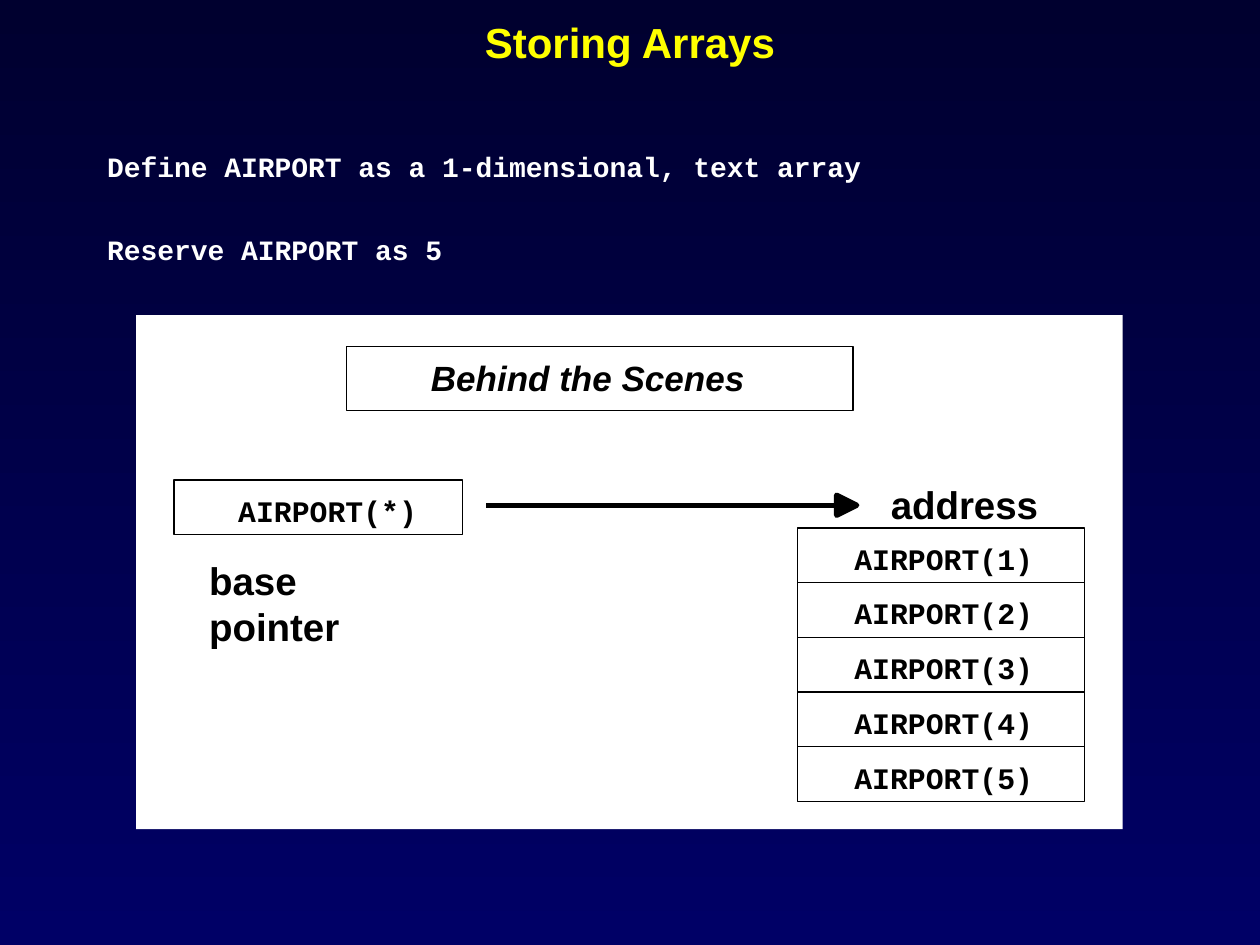
from dataclasses import dataclass
from lxml.etree import SubElement
from pptx import Presentation
from pptx.dml.color import RGBColor as Rgb
from pptx.enum.shapes import MSO_CONNECTOR as Link, MSO_SHAPE as Kind
from pptx.enum.text import MSO_ANCHOR as Anchor, PP_ALIGN as Align
from pptx.oxml.ns import qn
from pptx.util import Inches, Pt

COLS, ROWS = 100, 75
WIDE, HIGH = Inches(10), Inches(7.5)
BLACK, WHITE, GOLD = "000000", "FFFFFF", "FFFF00"
SANS, MONO = "Arial", "Courier New"


@dataclass(frozen=True)
class Area:
    """A block of the grid, in columns and rows."""
    col: float
    row: float
    wide: float
    high: float

    def box(self) -> tuple[int, int, int, int]:
        """Return left, top, width and height as lengths."""
        return (across(self.col), down(self.row),
                across(self.wide), down(self.high))


def across(cols: float) -> int:
    """Turn columns into a length."""
    return round(WIDE * cols / COLS)


def down(rows: float) -> int:
    """Turn rows into a length."""
    return round(HIGH * rows / ROWS)


def color(code: str) -> Rgb:
    """Turn a hex string into a colour."""
    return Rgb.from_string(code)


def shade(slide, top: str, base: str) -> None:
    """Fill the background from top to base."""
    fill = slide.background.fill
    fill.gradient()
    fill.gradient_angle = 270
    for stop, spot, code in zip(fill.gradient_stops, (0, 1), (top, base)):
        stop.position = spot
        stop.color.rgb = color(code)


def write(slide, area: Area, *lines: str, font: str = SANS, size: float = 22,
          code: str = BLACK, italic: bool = False, align=Align.LEFT,
          anchor=Anchor.TOP, wrap: bool = False, gap: float = 0) -> None:
    """Write bold lines in an area, with a gap between them."""
    frame = slide.shapes.add_textbox(*area.box()).text_frame
    frame.margin_left = frame.margin_right = 0
    frame.margin_top = frame.margin_bottom = 0
    frame.word_wrap = wrap
    frame.vertical_anchor = anchor
    for i, line in enumerate(lines):
        para = frame.add_paragraph() if i else frame.paragraphs[0]
        para.alignment = align
        para.space_before = Pt(gap if i else 0)
        run = para.add_run()
        run.text = line
        face = run.font
        face.name, face.size = font, Pt(size)
        face.bold, face.italic = True, italic
        face.color.rgb = color(code)


def panel(slide, area: Area) -> None:
    """Draw the white panel."""
    shape = slide.shapes.add_shape(Kind.RECTANGLE, *area.box())
    shape.shadow.inherit = False
    shape.fill.solid()
    shape.fill.fore_color.rgb = color(WHITE)
    shape.line.fill.background()


def frame(slide, area: Area) -> None:
    """Draw a hollow box with a hairline edge."""
    shape = slide.shapes.add_shape(Kind.RECTANGLE, *area.box())
    shape.shadow.inherit = False
    shape.fill.background()
    shape.line.color.rgb = color(BLACK)
    shape.line.width = Pt(0)


def cell(slide, area: Area, inset: float, label: str) -> None:
    """Draw one memory cell with its label."""
    frame(slide, area)
    spot = Area(area.col + inset, area.row + 1, 14.2, 2.8)
    write(slide, spot, label, font=MONO, size=17)


def arrow(slide, start: float, end: float, row: float) -> None:
    """Draw a level arrow with a solid head."""
    line = slide.shapes.add_connector(
        Link.STRAIGHT, across(start), down(row), across(end), down(row))
    SubElement(line._element.spPr, qn("a:effectLst"))
    back, half = end - 1.6, 0.8
    pen = slide.shapes.build_freeform(across(back), down(row - half))
    pen.add_line_segments([(across(end), down(row)),
                           (across(back), down(row + half))], close=True)
    head = pen.convert_to_shape()
    head.shadow.inherit = False
    head.fill.solid()
    head.fill.fore_color.rgb = color(BLACK)
    for part in (line, head):
        part.line.color.rgb = color(BLACK)
        part.line.width = Pt(3)


def main() -> None:
    """Build the slide and save it."""
    deck = Presentation()
    deck.slide_width, deck.slide_height = WIDE, HIGH
    slide = deck.slides.add_slide(deck.slide_layouts[6])
    shade(slide, "00002F", "000066")
    write(slide, Area(7.5, 0.8, 85, 5), "Storing Arrays", size=24, code=GOLD,
          align=Align.CENTER, anchor=Anchor.MIDDLE, wrap=True)
    write(slide, Area(8.5, 11.9, 83, 9.5),
          "Define AIRPORT as a 1-dimensional, text array",
          "Reserve AIRPORT as 5",
          font=MONO, size=16, code=WHITE, wrap=True, gap=28.2)
    panel(slide, Area(10.8, 25, 78.3, 40.8))
    pitch = 4.34
    for i in range(5):
        area = Area(63.3, 41.9 + i * pitch, 22.8, pitch)
        cell(slide, area, 4.5, f"AIRPORT({i + 1})")
    write(slide, Area(70.7, 38.2, 11.7, 3.7), "address")
    cell(slide, Area(13.8, 38.1, 22.9, pitch), 5.1, "AIRPORT(*)")
    write(slide, Area(16.6, 44.2, 18.1, 3.7), "base pointer")
    arrow(slide, 38.6, 68, 40.1)
    frame(slide, Area(27.5, 27.5, 40.2, 5.1))
    write(slide, Area(34.2, 28.3, 33.5, 3.3), "Behind the Scenes",
          size=20, italic=True, wrap=True)
    deck.save("out.pptx")


if __name__ == "__main__":
    main()
